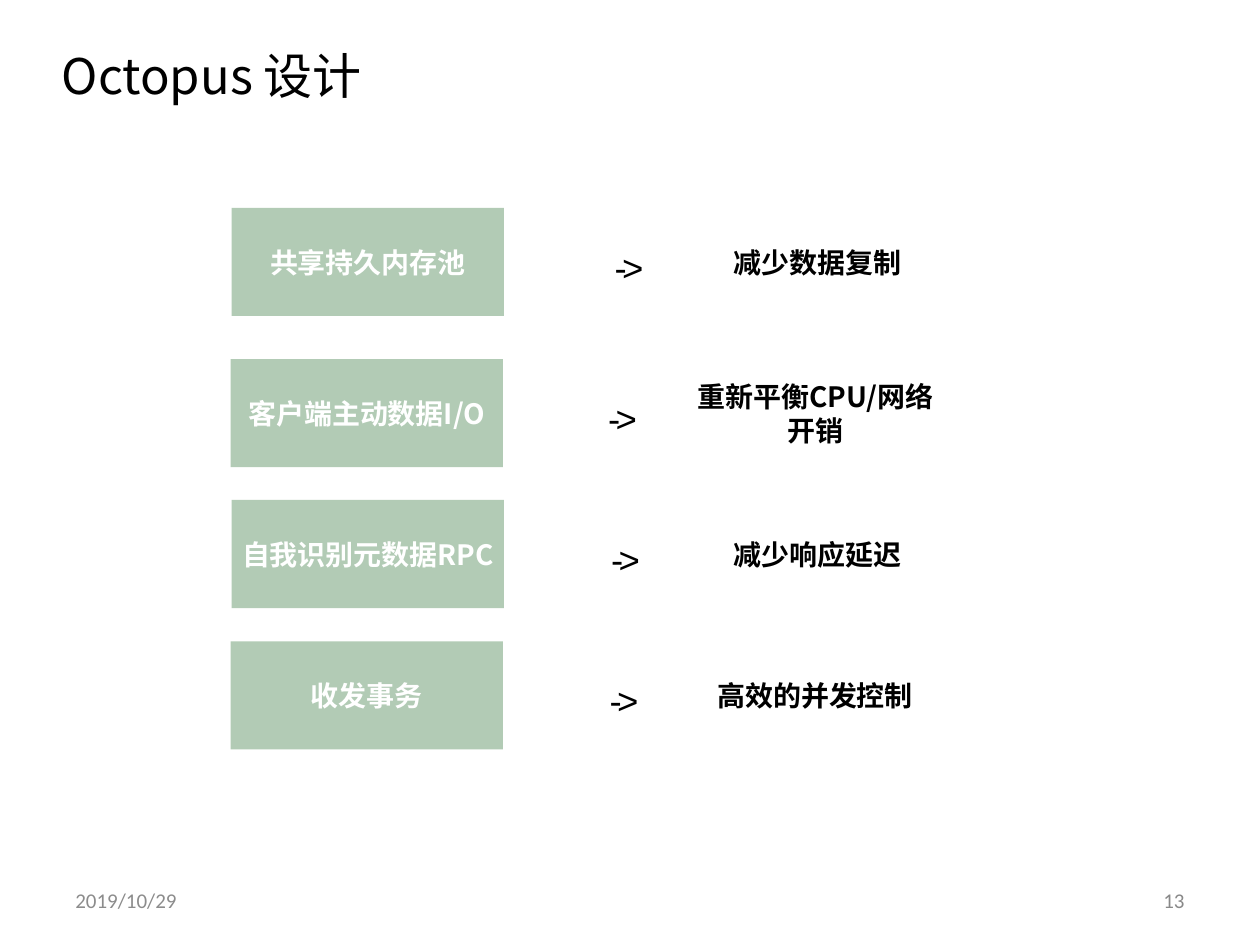
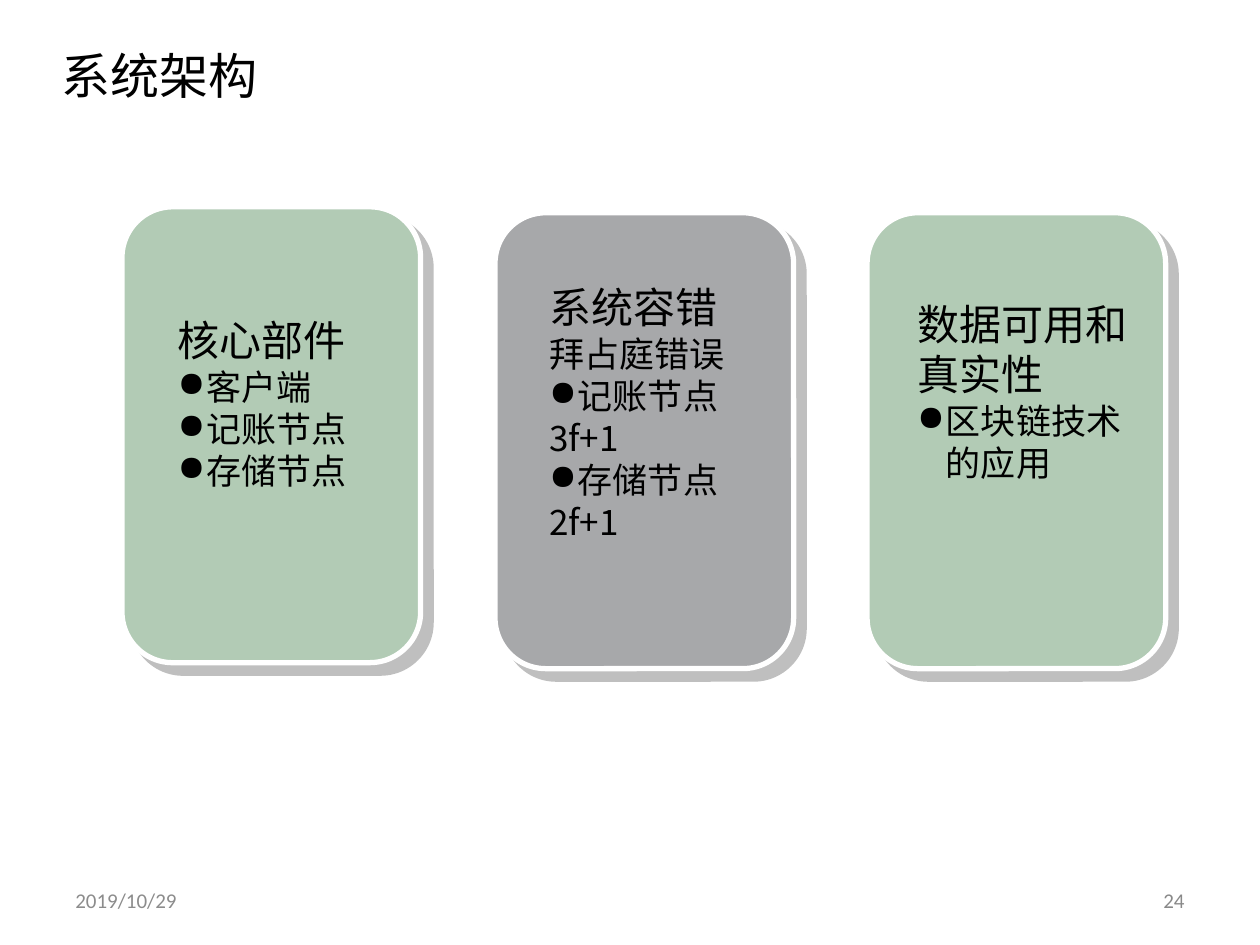
from dataclasses import dataclass

from lxml import etree
from pptx import Presentation
from pptx import util as u
from pptx.dml.color import RGBColor
from pptx.enum import shapes, text
from pptx.oxml import parse_xml
from pptx.oxml.ns import qn

# Shared style
CJK = "Noto Sans CJK SC"
GREEN, GRAY, WHITE, BLACK = "B2CBB5", "A7A8AA", "FFFFFF", "000000"
DATE_COLOR, NUMBER_COLOR = "8C8C8C", "898989"
LINE_PITCH = 1.2
BULLET_INDENT = u.Cm(0.58)
A_NS = "http://schemas.openxmlformats.org/drawingml/2006/main"
CARD_SHADOW = (
    f'<a:effectLst xmlns:a="{A_NS}"><a:outerShdw dist="107950" dir="2700000" '
    'algn="ctr" rotWithShape="0"><a:srgbClr val="808080"><a:alpha val="50000"/>'
    '</a:srgbClr></a:outerShdw></a:effectLst>'
)
LEFT, CENTER, RIGHT = text.PP_ALIGN.LEFT, text.PP_ALIGN.CENTER, text.PP_ALIGN.RIGHT
MIDDLE = text.MSO_ANCHOR.MIDDLE


@dataclass
class Box:
    left: float
    top: float
    width: float
    height: float

    def lengths(self) -> list:
        return [u.Cm(v) for v in (self.left, self.top, self.width, self.height)]


@dataclass
class Line:
    words: str
    size: float
    color: str = BLACK
    font: str = CJK
    bold: bool = False
    align: text.PP_ALIGN = LEFT
    bullet: bool = False


@dataclass
class DesignRow:
    design: str
    benefit: str
    top: float
    design_left: float
    arrow_left: float
    benefit_left: float


@dataclass
class Card:
    left: float
    top: float
    color: str
    strip_drop: float
    label: Box
    lines: list[Line]


def rgb(color: str) -> RGBColor:
    return RGBColor.from_string(color)


def add_bullet(paragraph) -> None:
    properties = paragraph._p.get_or_add_pPr()
    properties.set("marL", str(BULLET_INDENT))
    properties.set("indent", str(-BULLET_INDENT))
    etree.SubElement(properties, qn("a:buChar")).set("char", "●")


def write(frame, lines: list[Line], anchor=text.MSO_ANCHOR.TOP) -> None:
    """Fill a text frame, one paragraph per line."""
    frame.word_wrap = True
    frame.vertical_anchor = anchor
    for index, line in enumerate(lines):
        paragraph = frame.add_paragraph() if index else frame.paragraphs[0]
        paragraph.text = line.words
        paragraph.alignment = line.align
        if line.bullet:
            add_bullet(paragraph)
        font = paragraph.font
        font.name, font.size, font.bold = line.font, u.Pt(line.size), line.bold
        font.color.rgb = rgb(line.color)
        if line.font == CJK:
            paragraph.line_spacing = u.Pt(line.size * LINE_PITCH)
            east_asian = etree.SubElement(font._element, qn("a:ea"))
            east_asian.set("typeface", CJK)


def add_text(slide, box: Box, lines: list[Line], anchor=text.MSO_ANCHOR.TOP):
    label = slide.shapes.add_textbox(*box.lengths())
    write(label.text_frame, lines, anchor)
    return label


def add_block(owner, preset, box: Box, color: str):
    block = owner.add_shape(preset, *box.lengths())
    block.shadow.inherit = False
    block.fill.solid()
    block.fill.fore_color.rgb = rgb(color)
    block.line.fill.background()
    return block


def tighten(frame) -> None:
    frame.margin_left = frame.margin_right = u.Cm(0.19)
    frame.margin_top = frame.margin_bottom = u.Cm(0.1)


def start_slide(deck, title: str, number: int):
    """Blank slide with title, date and page number."""
    slide = deck.slides.add_slide(deck.slide_layouts[6])
    add_text(slide, Box(1, 0.8, 6.83, 1.45), [Line(title, 28)])
    add_text(slide, Box(1.27, 17.65, 5.93, 1.01),
             [Line("2019/10/29", 12, DATE_COLOR, "Calibri")], MIDDLE)
    add_text(slide, Box(18.2, 17.65, 5.93, 1.01),
             [Line(str(number), 12, NUMBER_COLOR, "Calibri", align=RIGHT)], MIDDLE)
    return slide


# Design choices and what each one brings
DESIGN_ROWS = [
    DesignRow("共享持久内存池", "减少数据复制", 4.19, 4.67, 12.14, 13.74),
    DesignRow("客户端主动数据I/O", "重新平衡CPU/网络开销", 7.24, 4.65, 12.01, 13.69),
    DesignRow("自我识别元数据RPC", "减少响应延迟", 10.08, 4.67, 12.07, 13.74),
    DesignRow("收发事务", "高效的并发控制", 12.93, 4.65, 12.04, 13.69),
]


def draw_design_row(slide, row: DesignRow) -> None:
    width, height = 5.49, 2.18
    design = add_block(slide.shapes, shapes.MSO_SHAPE.RECTANGLE,
                       Box(row.design_left, row.top, width, height), GREEN)
    write(design.text_frame,
          [Line(row.design, 16, WHITE, bold=True, align=CENTER)], MIDDLE)
    benefit = add_text(slide, Box(row.benefit_left, row.top, width, height),
                       [Line(row.benefit, 16, bold=True, align=CENTER)], MIDDLE)
    for part in (design, benefit):
        tighten(part.text_frame)

    arrow = add_text(slide, Box(row.arrow_left, row.top, 1.4, 1.8),
                     [Line("->", 36, font="Arial")])
    arrow_font = arrow.text_frame.paragraphs[0].font._element
    arrow_font.set("baseline", "-7000")
    arrow_font.set("spc", "-260")


# Architecture cards
CARDS = [
    Card(2.46, 4.17, GREEN, 0.1, Box(3.33, 6.22, 4.32, 3.84), [
        Line("核心部件", 24),
        Line("客户端", 20, bullet=True),
        Line("记账节点", 20, bullet=True),
        Line("存储节点", 20, bullet=True),
    ]),
    Card(9.98, 4.29, GRAY, 0.13, Box(10.82, 5.56, 4.32, 6.58), [
        Line("系统容错", 24),
        Line("拜占庭错误", 20),
        Line("记账节点", 20, bullet=True),
        Line("3f+1", 20),
        Line("存储节点", 20, bullet=True),
        Line("2f+1", 20),
    ]),
    Card(17.48, 4.29, GREEN, 0.15, Box(18.24, 5.89, 5.05, 5.05), [
        Line("数据可用和真实性", 24),
        Line("区块链技术的应用", 20, bullet=True),
    ]),
]


def draw_card(slide, card: Card) -> None:
    group = slide.shapes.add_group_shape().shapes
    rounded = shapes.MSO_SHAPE.ROUNDED_RECTANGLE
    panel = add_block(group, rounded, Box(card.left, card.top, 6.02, 9.19), card.color)
    panel.adjustments[0] = 0.17
    panel.line.color.rgb = rgb(WHITE)
    panel.line.width = u.Pt(3)
    properties = panel._element.spPr
    properties.replace(properties.find(qn("a:effectLst")), parse_xml(CARD_SHADOW))

    strip_box = Box(card.left + 0.25, card.top + card.strip_drop, 5.54, 1.27)
    strip = add_block(group, rounded, strip_box, card.color)
    strip.adjustments[0] = 0.5
    add_text(slide, card.label, card.lines)


def main() -> None:
    deck = Presentation()
    deck.slide_width, deck.slide_height = u.Cm(25.4), u.Cm(19.05)

    design_slide = start_slide(deck, "Octopus 设计", 13)
    for row in DESIGN_ROWS:
        draw_design_row(design_slide, row)

    architecture_slide = start_slide(deck, "系统架构", 24)
    for card in CARDS:
        draw_card(architecture_slide, card)

    deck.save("out.pptx")


if __name__ == "__main__":
    main()
